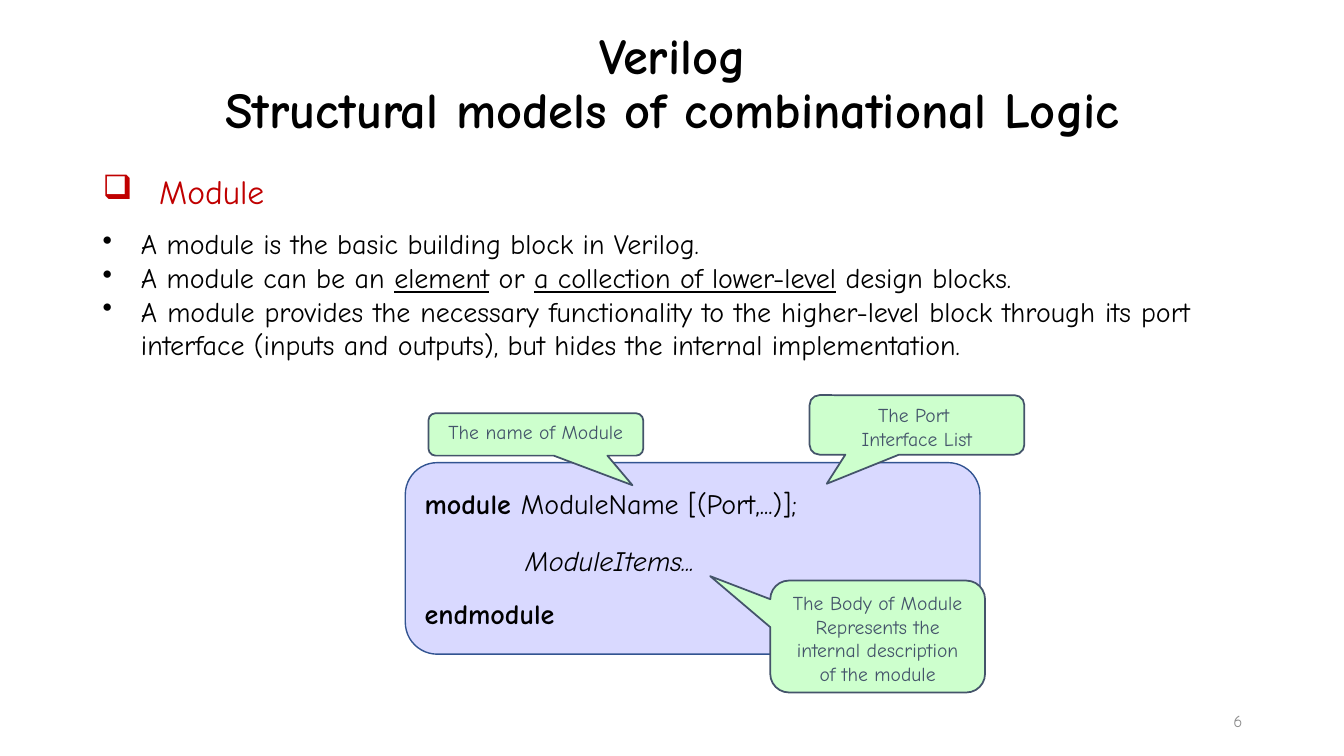
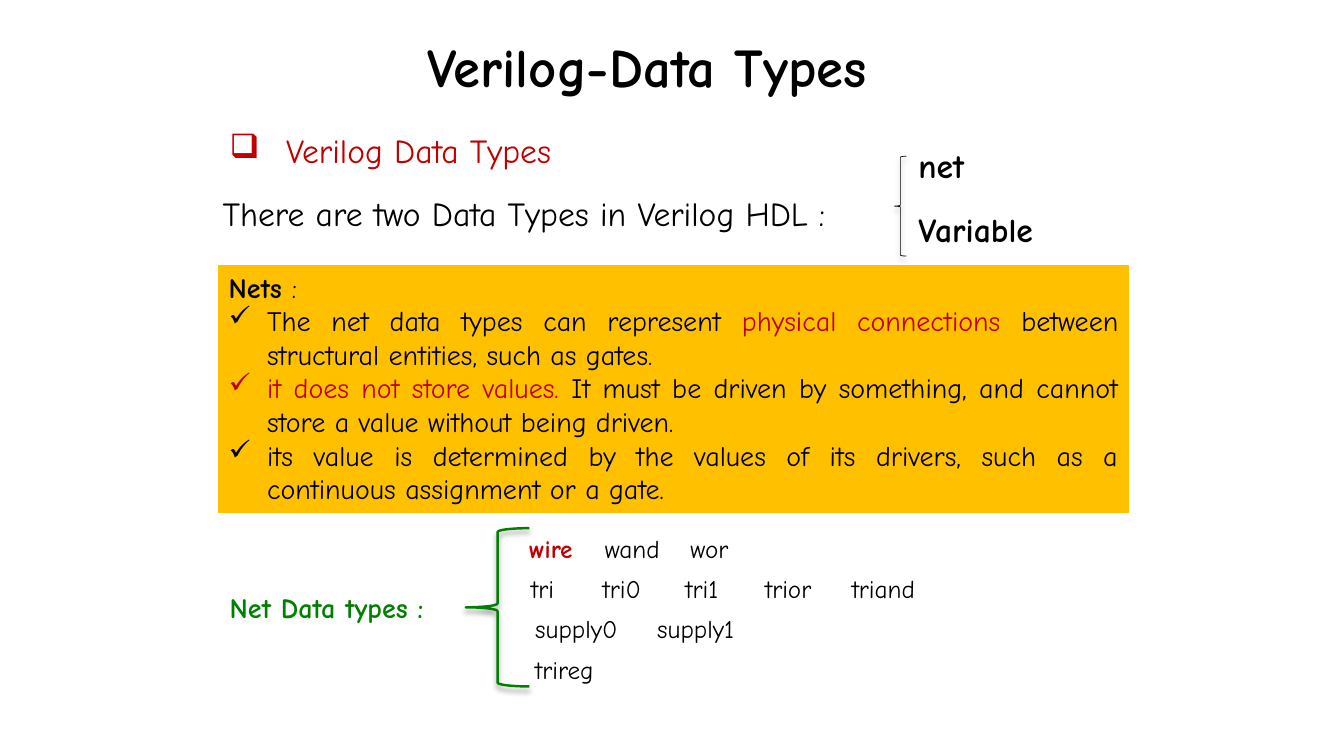
from lxml.etree import SubElement
from pptx import Presentation
from pptx.dml.color import RGBColor
from pptx.enum.shapes import MSO_SHAPE
from pptx.enum.text import MSO_ANCHOR, MSO_AUTO_SIZE, PP_ALIGN
from pptx.oxml.ns import qn
from pptx.util import Inches, Pt

FONT = "Comic Neue"
BLACK = RGBColor(0x00, 0x00, 0x00)
RED = RGBColor(0xC0, 0x00, 0x00)
GREEN = RGBColor(0x00, 0x80, 0x00)
GREY = RGBColor(0x8C, 0x8C, 0x8C)
SLATE = RGBColor(0x44, 0x54, 0x6A)
BLUE = RGBColor(0x32, 0x54, 0x91)
LAVENDER = RGBColor(0xD9, 0xD9, 0xFF)
MINT = RGBColor(0xCD, 0xFF, 0xCD)
AMBER = RGBColor(0xFF, 0xC0, 0x00)


def add_paragraph(frame, runs, size, color=BLACK, align=PP_ALIGN.JUSTIFY,
                  before=0, indent=0, hanging=0, bullet=None):
    """Append a paragraph of (text, format) runs, filling the empty first one."""
    paragraph = frame.paragraphs[0]
    if paragraph.runs:
        paragraph = frame.add_paragraph()
    paragraph.alignment = align
    paragraph.space_before = Pt(before)
    properties = paragraph._p.get_or_add_pPr()
    properties.set("marL", str(Inches(indent)))
    properties.set("indent", str(-Inches(hanging)))
    if bullet:
        SubElement(properties, qn("a:buChar")).set("char", bullet)
    for text, style in runs:
        run = paragraph.add_run()
        run.text = text
        font = run.font
        font.name = FONT
        font.size = Pt(size)
        font.color.rgb = style.get("color", color)
        font.bold = style.get("bold", False)
        font.italic = style.get("italic", False)
        font.underline = style.get("underline", False)
    return paragraph


def add_heading(frame, text):
    """Add the red heading with its box bullet."""
    add_paragraph(frame, [(text, {})], 24, RED, indent=0.56, hanging=0.56, bullet="❑")


def add_bullets(frame, items, bullet, before=0):
    """Add a bulleted list, with a gap above its first item."""
    for index, runs in enumerate(items):
        add_paragraph(frame, runs, 20, before=0 if index else before,
                      indent=0.38, hanging=0.38, bullet=bullet)


def add_text_box(slide, left, top, width, height):
    """Add a wrapping text box and return its text frame."""
    box = slide.shapes.add_textbox(Inches(left), Inches(top), Inches(width), Inches(height))
    box.text_frame.word_wrap = True
    return box.text_frame


def add_label(slide, left, top, width, text, size, **style):
    """Add a text box that holds one line."""
    frame = add_text_box(slide, left, top, width, 0.4)
    add_paragraph(frame, [(text, style)], size)


def add_panel(slide, kind, box, fill, line, line_width, anchor=MSO_ANCHOR.TOP):
    """Add a filled, outlined shape that holds text."""
    shape = slide.shapes.add_shape(kind, *map(Inches, box))
    shape.shadow.inherit = False
    shape.fill.solid()
    shape.fill.fore_color.rgb = fill
    shape.line.color.rgb = line
    shape.line.width = Pt(line_width)
    shape.text_frame.word_wrap = True
    shape.text_frame.vertical_anchor = anchor
    return shape


def add_callout(slide, left, top, height, tip, lines):
    """Add a green callout whose tail ends at the relative point tip."""
    shape = add_panel(slide, MSO_SHAPE.ROUNDED_RECTANGULAR_CALLOUT,
                      (left, top, 2.13, height), MINT, SLATE, 1.25)
    shape.adjustments[0], shape.adjustments[1] = tip
    for line in lines:
        add_paragraph(shape.text_frame, [(line, {})], 14, SLATE, PP_ALIGN.CENTER)


def add_brace(slide, box, color, line_width, curve):
    """Add a left brace with a soft shadow below it."""
    brace = slide.shapes.add_shape(MSO_SHAPE.LEFT_BRACE, *map(Inches, box))
    brace.adjustments[0] = curve
    brace.fill.background()
    brace.line.color.rgb = color
    brace.line.width = Pt(line_width)
    brace.shadow.inherit = False
    effects = brace._element.spPr.find(qn("a:effectLst"))
    shadow = SubElement(effects, qn("a:outerShdw"), blurRad=str(Pt(4)),
                        dist=str(Pt(3)), dir="5400000", rotWithShape="0")
    shade = SubElement(shadow, qn("a:srgbClr"), val=str(BLACK))
    SubElement(shade, qn("a:alpha"), val="40000")


def add_titled_slide(presentation, box, lines, size):
    """Add a title-only slide and format its title."""
    slide = presentation.slides.add_slide(presentation.slide_layouts[5])
    title = slide.shapes.title
    title.left, title.top, title.width, title.height = map(Inches, box)
    frame = title.text_frame
    frame.auto_size = MSO_AUTO_SIZE.NONE
    frame.vertical_anchor = MSO_ANCHOR.MIDDLE
    paragraph = add_paragraph(frame, [(lines[0], {"bold": True})], size,
                              align=PP_ALIGN.CENTER)
    paragraph.line_spacing = 0.9
    for line in lines[1:]:
        paragraph.add_line_break()
        run = paragraph.add_run()
        run.text = line
        run.font.name = FONT
        run.font.size = Pt(size)
        run.font.bold = True
        run.font.color.rgb = BLACK
    return slide


def add_module_diagram(slide, left, top):
    """Draw the module skeleton and the callouts around it."""
    panel = add_panel(slide, MSO_SHAPE.ROUNDED_RECTANGLE, (left, top, 5.7, 1.9),
                      LAVENDER, BLUE, 1, MSO_ANCHOR.MIDDLE)
    frame = panel.text_frame
    add_paragraph(frame, [("module ", {"bold": True}), ("ModuleName [(Port,...)];", {})],
                  20, align=PP_ALIGN.LEFT)
    add_paragraph(frame, [("ModuleItems...", {"italic": True})], 20,
                  align=PP_ALIGN.LEFT, before=17, indent=1)
    add_paragraph(frame, [("endmodule", {"bold": True})], 20,
                  align=PP_ALIGN.LEFT, before=14)
    add_callout(slide, left + 0.23, top - 0.49, 0.42, (0.45, 1.2), ["The name of Module"])
    add_callout(slide, left + 4.01, top - 0.67, 0.59, (-0.42, 0.99),
                ["The Port ", "Interface List"])
    add_callout(slide, left + 3.62, top + 1.17, 1.11, (-0.78, -0.54),
                ["The Body of Module", "Represents the internal description of the module"])


def add_type_choice(slide, left, top):
    """Draw the brace that splits data types into net and variable."""
    add_brace(slide, (left, top + 0.16, 0.12, 0.99), BLACK, 0.5, 0.08)
    frame = add_text_box(slide, left + 0.14, top, 1.54, 1.14)
    add_paragraph(frame, [("net ", {"bold": True})], 24)
    add_paragraph(frame, [("Variable", {"bold": True})], 24, before=17)


def add_net_types(slide, left, top):
    """Draw the braced list of net data types, row by row."""
    rows = [
        [("wire", 2.97), ("wand", 3.72), ("wor", 4.57)],
        [("tri", 2.99), ("tri0", 3.7), ("tri1", 4.52), ("trior", 5.31), ("triand", 6.17)],
        [("supply0", 3.03), ("supply1", 4.24)],
        [("trireg", 3.03)],
    ]
    add_label(slide, left, top + 0.57, 2.58, "Net Data types :", 20, bold=True, color=GREEN)
    for index, row in enumerate(rows):
        for word, offset in row:
            style = {"bold": True, "color": RED} if word == "wire" else {}
            add_label(slide, left + offset, top + index * 0.4, 1.2, word, 18, **style)
    add_brace(slide, (left + 2.44, top, 0.63, 1.57), GREEN, 1.75, 0.06)


def build_module_slide(presentation):
    """Build the slide that explains modules."""
    slide = add_titled_slide(presentation, (0.92, 0.4, 11.5, 0.89),
                             ["Verilog", "Structural models of combinational Logic"], 36)
    frame = add_text_box(slide, 0.92, 1.65, 10.99, 2.27)
    underlined = {"underline": True}
    add_heading(frame, "Module")
    add_bullets(frame, [
        [("A module is the basic building block in Verilog.", {})],
        [("A module can be an ", {}), ("element", underlined), (" or ", {}),
         ("a collection of lower-level", underlined), (" design blocks.", {})],
        [("A module provides the necessary functionality to the higher-level block through "
          "its port interface (inputs and outputs), but hides the internal implementation.",
          {})],
    ], "•", before=11)
    add_module_diagram(slide, 4.02, 4.59)
    number = add_text_box(slide, 9.42, 6.95, 3, 0.4)
    number.vertical_anchor = MSO_ANCHOR.MIDDLE
    add_paragraph(number, [("6", {})], 12, GREY, PP_ALIGN.RIGHT)


def build_data_types_slide(presentation):
    """Build the slide that explains data types."""
    slide = add_titled_slide(presentation, (0.14, 0.26, 12.56, 0.86),
                             ["Verilog-Data Types"], 39)
    add_heading(add_text_box(slide, 2.18, 1.24, 6, 0.5), "Verilog Data Types")
    add_label(slide, 2.11, 1.86, 6.7, "There are two Data Types in Verilog HDL :", 24)
    add_type_choice(slide, 8.87, 1.39)
    panel = add_panel(slide, MSO_SHAPE.RECTANGLE, (2.17, 2.63, 9.02, 2.46),
                      AMBER, AMBER, 0.75)
    frame = panel.text_frame
    add_paragraph(frame, [("Nets ", {"bold": True}), (": ", {})], 20)
    add_bullets(frame, [
        [("The net data types can represent ", {}),
         ("physical connections ", {"color": RED}),
         ("between structural entities, such as gates. ", {})],
        [("it does not store values. ", {"color": RED}),
         ("It must be driven by something, and cannot store a value without being driven.",
          {})],
        [("its value is determined by the values of its drivers, such as a continuous "
          "assignment or a gate. ", {})],
    ], "✓")
    add_net_types(slide, 2.18, 5.24)


def main():
    """Build and save the presentation."""
    presentation = Presentation()
    presentation.slide_width = Inches(13.33)
    presentation.slide_height = Inches(7.5)
    build_module_slide(presentation)
    build_data_types_slide(presentation)
    presentation.save("out.pptx")


if __name__ == "__main__":
    main()
